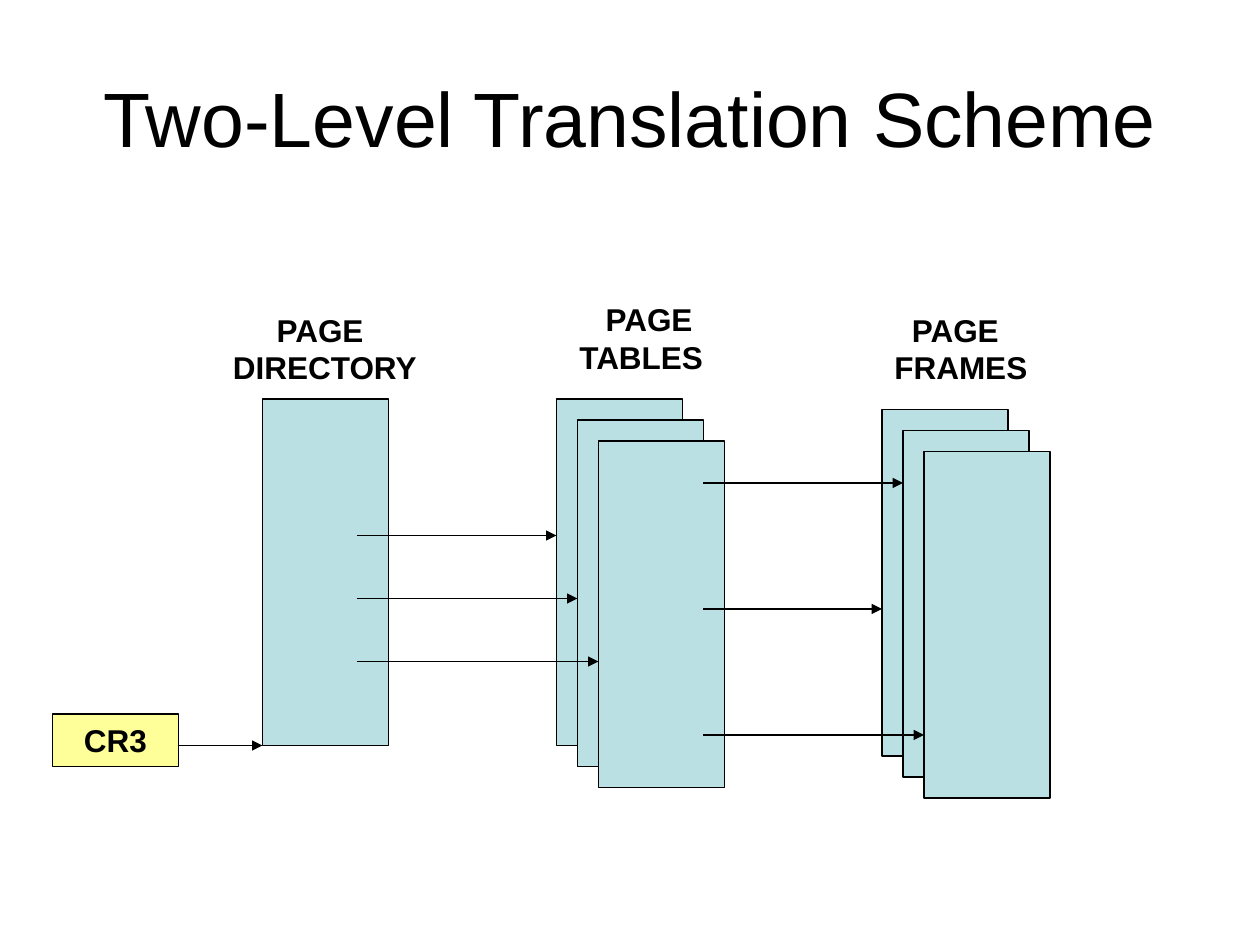
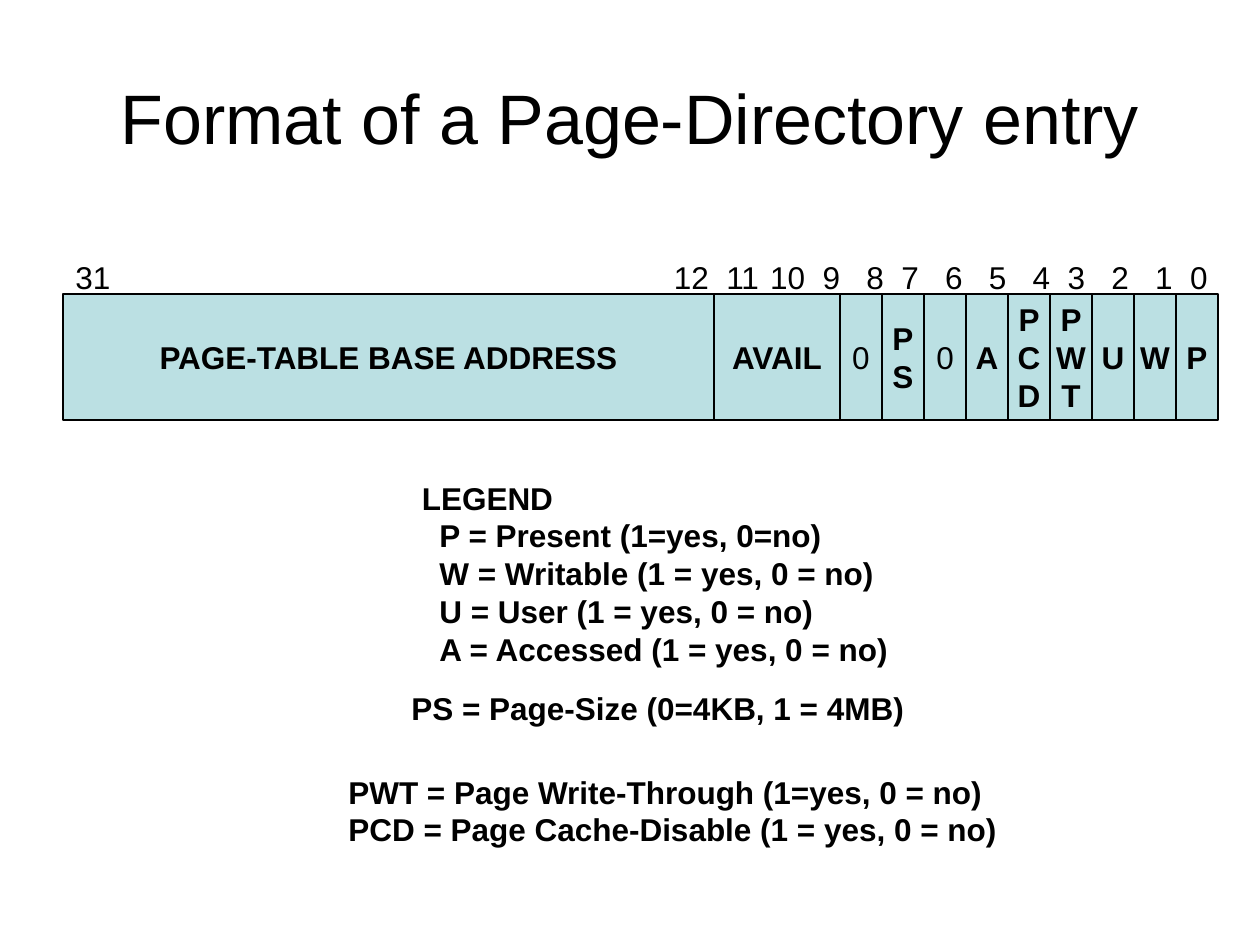
from dataclasses import dataclass

from lxml import etree
from pptx import Presentation
from pptx import util as u
from pptx.dml.color import RGBColor
from pptx.enum import shapes, text
from pptx.oxml import ns


@dataclass(frozen=True)
class Theme:
    """Colours, type sizes and measures shared by the slides."""
    ink: str = "000000"
    memory: str = "BBE0E3"
    register: str = "FFFF99"
    font: str = "Arial"
    title: int = 44
    long_title: int = 40
    body: int = 18
    line: float = 0.75
    space: float = 5.0
    digit: float = 10.0


class Deck:
    """Draws styled elements on a grid of 120 columns by 90 rows."""
    COLUMNS, ROWS = 120, 90

    def __init__(self, theme):
        """Start an empty presentation."""
        self.theme = theme
        self.prs = Presentation()
        self.prs.slide_width, self.prs.slide_height = u.Inches(10), u.Inches(7.5)
        self.slide = None

    def x(self, column):
        """Turn a column into a length."""
        return round(self.prs.slide_width * column / self.COLUMNS)

    def y(self, row):
        """Turn a row into a length."""
        return round(self.prs.slide_height * row / self.ROWS)

    def area(self, column, row, width, height):
        """Turn a grid area into left, top, width and height."""
        return self.x(column), self.y(row), self.x(width), self.y(height)

    def add_slide(self, title, size):
        """Add a blank slide with its heading."""
        self.slide = self.prs.slides.add_slide(self.prs.slide_layouts[6])
        self.label((6, 3.6, 108, 15), [title], size=size, bold=False,
                   align=text.PP_ALIGN.CENTER, anchor=text.MSO_ANCHOR.MIDDLE)

    def set_lines(self, shape, lines, wrap=True, size=None, bold=True,
                  align=text.PP_ALIGN.LEFT, anchor=text.MSO_ANCHOR.TOP, indents=()):
        """Put lines into a shape, each indented by a number of spaces."""
        frame = shape.text_frame
        for name, value in {"word_wrap": wrap, "vertical_anchor": anchor}.items():
            setattr(frame, name, value)
        frame.text = "\n".join(lines)
        style = {"name": self.theme.font, "size": u.Pt(size or self.theme.body), "bold": bold}
        for paragraph in frame.paragraphs:
            paragraph.alignment = align
            for run in paragraph.runs:
                for name, value in style.items():
                    setattr(run.font, name, value)
                run.font.color.rgb = RGBColor.from_string(self.theme.ink)
        for paragraph, spaces in zip(frame.paragraphs, indents):
            properties = paragraph._p.get_or_add_pPr()
            properties.set("marL", str(u.Pt(spaces * self.theme.space)))
            properties.set("indent", "0")

    def label(self, area, lines, **style):
        """Add a text box."""
        box = self.slide.shapes.add_textbox(*self.area(*area))
        self.set_lines(box, lines, **style)
        return box

    def block(self, area, lines=(), fill=None, bold=True):
        """Add an outlined rectangle with optional centred text."""
        block = self.slide.shapes.add_shape(shapes.MSO_SHAPE.RECTANGLE, *self.area(*area))
        block.shadow.inherit = False
        block.fill.solid()
        block.fill.fore_color.rgb = RGBColor.from_string(fill or self.theme.memory)
        self.outline(block.line)
        if lines:
            self.set_lines(block, lines, wrap=False, bold=bold,
                           align=text.PP_ALIGN.CENTER, anchor=text.MSO_ANCHOR.MIDDLE)

    def outline(self, line):
        """Give a line the shared colour and width."""
        line.color.rgb = RGBColor.from_string(self.theme.ink)
        line.width = u.Pt(self.theme.line)

    def arrow(self, start, end, row):
        """Add a level arrow from one column to another."""
        arrow = self.slide.shapes.add_connector(
            shapes.MSO_CONNECTOR.STRAIGHT, self.x(start), self.y(row), self.x(end), self.y(row))
        self.outline(arrow.line)
        etree.SubElement(arrow.line._get_or_add_ln(), ns.qn("a:tailEnd"), type="triangle")
        etree.SubElement(arrow._element.spPr, ns.qn("a:effectLst"))

    def stack(self, column, row, count):
        """Add rectangles that step down to the right."""
        for step in range(0, 2 * count, 2):
            self.block((column + step, row + step, 12, 33))

    def ruler(self, area, numbers, gaps):
        """Add numbers on tab stops, parted by gaps counted in spaces."""
        ruler = self.label(area, ["\t".join(numbers)], bold=False)
        properties = ruler.text_frame.paragraphs[0]._p.get_or_add_pPr()
        stops = etree.SubElement(properties, ns.qn("a:tabLst"))
        position = 0
        for number, gap in zip(numbers, gaps):
            position += len(number) * self.theme.digit + gap * self.theme.space
            etree.SubElement(stops, ns.qn("a:tab"), pos=str(u.Pt(position)), algn="l")


def translation_scheme(deck):
    """Draw the page directory, page tables and page frames."""
    deck.add_slide("Two-Level Translation Scheme", deck.theme.title)
    for column, row, count in ((25, 38, 1), (53, 38, 3), (84, 39, 3)):
        deck.stack(column, row, count)
    for column, row, width, kind, spaces in (
            (21, 29, 21, "DIRECTORY", 5), (54, 28, 16, "TABLES", 3), (84, 29, 16, "FRAMES", 2)):
        deck.label((column, row, width, 8.4), ["PAGE", kind], indents=(spaces, 0))
    deck.block((5, 68, 12, 5), ["CR3"], fill=deck.theme.register)
    deck.arrow(17, 25, 71)
    for table, row in zip((53, 55, 57), (51, 57, 63)):
        deck.arrow(34, table, row)
    for page, row in zip((86, 84, 88), (46, 58, 70)):
        deck.arrow(67, page, row)


def directory_entry(deck):
    """Draw the bit fields of an entry and their legend."""
    deck.add_slide("Format of a Page-Directory entry", deck.theme.long_title)
    column = 6
    fields = [(["PAGE-TABLE BASE ADDRESS"], 62), (["AVAIL"], 12)]
    fields += [(list(flag), 4) for flag in ("0", "PS", "0", "A", "PCD", "PWT", "U", "W", "P")]
    for lines, width in fields:
        deck.block((column, 28, width, 12), lines, bold=lines != ["0"])
        column += width
    deck.label((6, 24, 6, 4.8), ["31"], bold=False)
    deck.ruler((63, 24, 54, 4.8), [str(bit) for bit in range(12, -1, -1)],
               (2, 1, 2, 3, 2, 3, 3, 3, 2, 3, 3, 2))
    deck.label((39, 45, 49, 22.8), [
        "LEGEND",
        "P = Present (1=yes, 0=no)",
        "W = Writable (1 = yes, 0 = no)",
        "U = User (1 = yes, 0 = no)",
        "A = Accessed (1 = yes, 0 = no)",
    ], indents=(0, 2, 2, 2, 2))
    deck.label((38, 65, 50, 4.8), ["PS = Page-Size (0=4KB, 1 = 4MB)"])
    deck.label((32, 73, 66, 8.4), [
        "PWT = Page Write-Through (1=yes, 0 = no)",
        "PCD = Page Cache-Disable (1 = yes, 0 = no)",
    ])


def main():
    """Build both slides and save them."""
    deck = Deck(Theme())
    translation_scheme(deck)
    directory_entry(deck)
    deck.prs.save("out.pptx")


if __name__ == "__main__":
    main()
